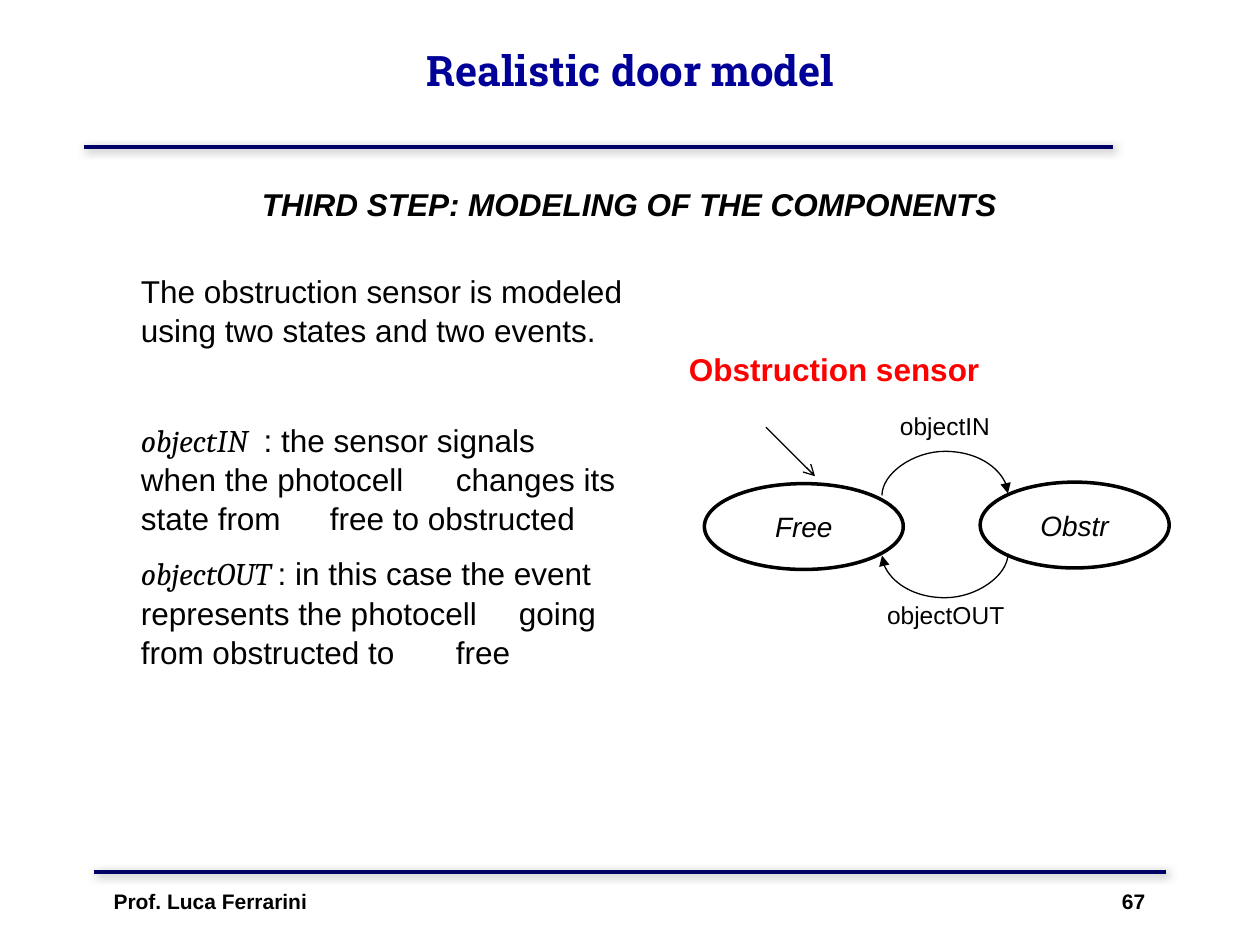
import pptx
import pptx.util
import pptx.dml.color
import pptx.enum.shapes
import pptx.enum.text
import pptx.oxml
import pptx.oxml.ns
from lxml import etree

Cm = pptx.util.Cm
Pt = pptx.util.Pt
ALIGN = pptx.enum.text.PP_ALIGN
ANCHOR = pptx.enum.text.MSO_ANCHOR
CONNECTOR = pptx.enum.shapes.MSO_CONNECTOR
qn = pptx.oxml.ns.qn

COLORS = {"title": "000099", "rule": "000066", "text": "000000",
          "accent": "FF0000", "state": "FFFFFF", "shadow": "808080"}


def rgb(name):
    return pptx.dml.color.RGBColor.from_string(COLORS[name])


def style(font, size, color="text", name="Arial", bold=False, italic=False):
    font.size = Pt(size)
    font.name = name
    font.bold = bold
    font.italic = italic
    font.color.rgb = rgb(color)


def add_text(shapes, box, text, size, align=ALIGN.LEFT, **look):
    label = shapes.add_textbox(*[Cm(length) for length in box])
    label.text_frame.word_wrap = True
    para = label.text_frame.paragraphs[0]
    para.text = text
    para.alignment = align
    style(para.font, size, **look)
    return label


def add_line(shapes, kind, start, end, width, color="text", head=None):
    line = shapes.add_connector(kind, *[Cm(length) for length in (*start, *end)])
    line.line.width = Pt(width)
    line.line.color.rgb = rgb(color)
    if head:
        etree.SubElement(line.line._get_or_add_ln(), qn("a:tailEnd"), type=head)
    effects = etree.SubElement(line._element.spPr, qn("a:effectLst"))
    return line, effects


def add_rule(page, left, top, width):
    effects = add_line(page.shapes, CONNECTOR.STRAIGHT, (left, top),
                       (left + width, top), 2.25, "rule")[1]
    shadow = etree.SubElement(effects, qn("a:outerShdw"), blurRad=str(Pt(5)),
                              dist=str(Pt(1.4)), dir="2700000")
    tint = etree.SubElement(shadow, qn("a:srgbClr"), val=COLORS["shadow"])
    etree.SubElement(tint, qn("a:alpha"), val="75000")


def add_title(page, box, text):
    title = page.shapes.title
    title.left, title.top, title.width, title.height = [Cm(length) for length in box]
    title.text_frame.text = text
    title.text_frame.vertical_anchor = ANCHOR.MIDDLE
    para = title.text_frame.paragraphs[0]
    para.alignment = ALIGN.CENTER
    style(para.font, 24, "title", "Roboto Slab", bold=True)


def add_description(page, box, intro, events):
    frame = add_text(page.shapes, box, intro, 18).text_frame
    for (event, meaning), gap in zip(events, (40, 9)):
        para = frame.add_paragraph()
        para.space_before = Pt(gap)
        name = para.add_run()
        name.text = event
        style(name.font, 18, name="Cambria", italic=True)
        span = para.add_run()
        span.text = meaning
        style(span.font, 18)
    for para in frame.paragraphs:
        para.line_spacing = 1.04


def add_state(shapes, box, text):
    state = shapes.add_shape(pptx.enum.shapes.MSO_SHAPE.OVAL,
                             *[Cm(length) for length in box])
    state.shadow.inherit = False
    state.fill.solid()
    state.fill.fore_color.rgb = rgb("state")
    state.line.color.rgb = rgb("text")
    state.line.width = Pt(2)
    state.text_frame.vertical_anchor = ANCHOR.MIDDLE
    para = state.text_frame.paragraphs[0]
    para.text = text
    para.alignment = ALIGN.CENTER
    style(para.font, 16, italic=True)


def add_transition(shapes, center_x, center_y, side):
    span, offset, bulge = 2.54, 0.04, 0.89
    start = (center_x - side * offset / 2, center_y - side * span / 2)
    end = (center_x + side * offset / 2, center_y + side * span / 2)
    curve = add_line(shapes, CONNECTOR.CURVE, start, end, 0.75, head="triangle")[0]
    properties = curve._element.spPr
    properties.find(qn("a:xfrm")).set("rot", "5400000")
    guides = properties.find(qn("a:prstGeom")).find(qn("a:avLst"))
    etree.SubElement(guides, qn("a:gd"), name="adj1",
                     fmla=f"val {round(bulge / offset * 100000)}")


def add_sensor_diagram(page, left, top):
    shapes = page.shapes.add_group_shape().shapes

    def place(x, y, *size):
        return (left + x, top + y, *size)

    add_text(shapes, place(0, 0, 10.95, 1.02), "Obstruction sensor", 18,
             color="accent", bold=True)
    add_state(shapes, place(0.56, 2.82, 4.01, 1.73), "Free")
    add_line(shapes, CONNECTOR.STRAIGHT, place(1.8, 1.68), place(2.79, 2.67),
             0.75, head="arrow")
    add_state(shapes, place(6.12, 2.79, 3.81, 1.73), "Obstr")
    add_transition(shapes, *place(5.41, 3.04), -1)
    add_transition(shapes, *place(5.41, 4.25), 1)
    add_text(shapes, place(4.14, 1.24, 2.54, 0.86), "objectIN", 14, ALIGN.CENTER)
    add_text(shapes, place(3.89, 5.05, 3.07, 0.86), "objectOUT", 14, ALIGN.CENTER)


def add_footer(page, box, author, number):
    footer = add_text(page.shapes, box, f"{author}\t{number}", 12, bold=True)
    inset = 1.45
    footer.text_frame.margin_left = footer.text_frame.margin_right = Cm(inset)
    properties = footer.text_frame.paragraphs[0]._p.get_or_add_pPr()
    tabs = pptx.oxml.parse_xml(
        f'<a:tabLst {pptx.oxml.ns.nsdecls("a")}>'
        f'<a:tab pos="{Cm(box[2] - 2 * inset)}" algn="r"/></a:tabLst>')
    properties.find(qn("a:defRPr")).addprevious(tabs)


def main():
    deck = pptx.Presentation()
    deck.slide_width, deck.slide_height = Cm(25.4), Cm(19.05)
    page = deck.slides.add_slide(deck.slide_layouts[5])
    add_rule(page, 1.7, 2.97, 20.73)
    add_rule(page, 1.9, 17.58, 21.6)
    add_title(page, (2.34, -0.18, 20.75, 3.18), "Realistic door model")
    add_description(
        page, (2.59, 5.33, 10.26, 10.59),
        "The obstruction sensor is modeled using two states and two events.",
        [("objectIN ", " : the sensor signals \twhen the photocell "
          "\tchanges its state from \tfree to obstructed"),
         ("objectOUT ", ": in this case the event \trepresents the photocell "
          "\tgoing from obstructed to \tfree")])
    add_footer(page, (0.84, 17.78, 23.7, 1.27), "Prof. Luca Ferrarini", 67)
    add_sensor_diagram(page, 13.64, 6.93)
    add_text(page.shapes, (4.6, 3.61, 16.18, 1.02),
             "THIRD STEP: MODELING OF THE COMPONENTS", 18, ALIGN.CENTER,
             bold=True, italic=True)
    deck.save("out.pptx")


if __name__ == "__main__":
    main()
